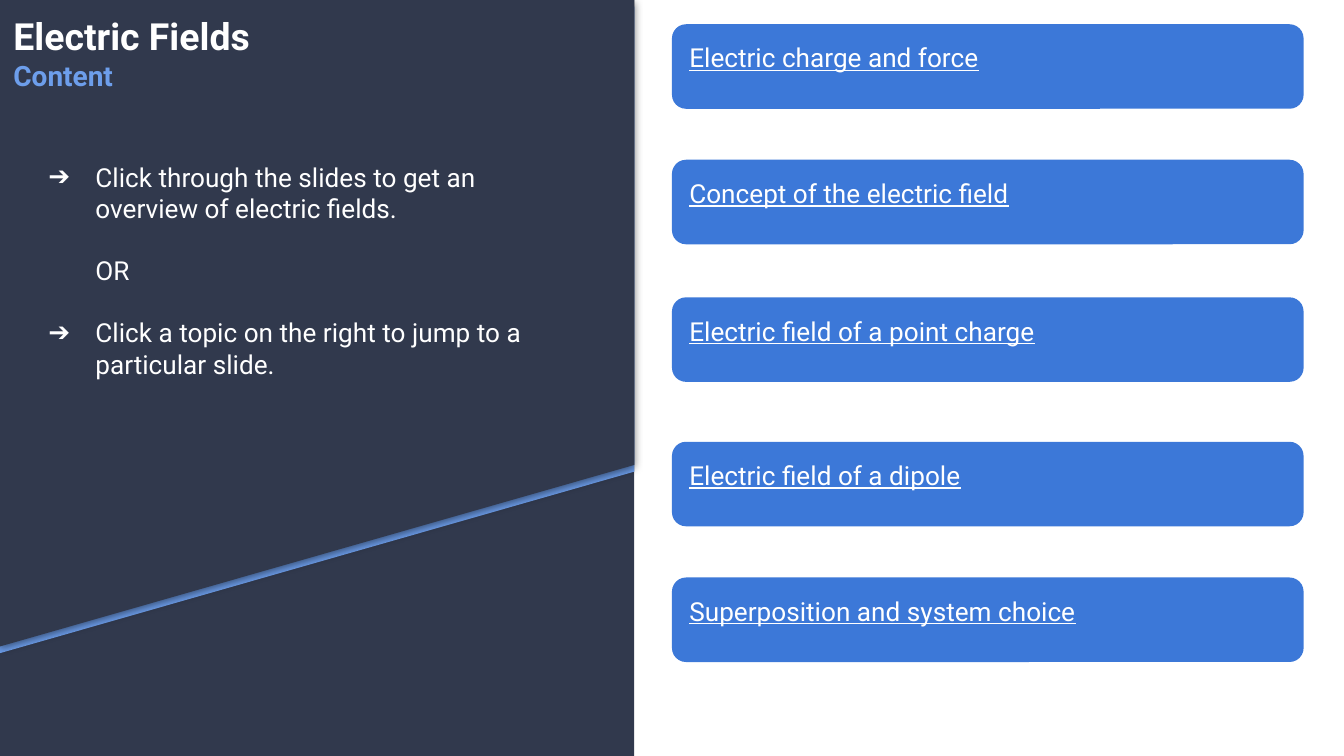
import pptx
import pptx.util
import pptx.dml.color
import pptx.enum.shapes
import pptx.enum.text
import lxml.etree
from dataclasses import dataclass

Pt = pptx.util.Pt
TEXT = pptx.enum.text
KIND = pptx.enum.shapes.MSO_SHAPE
NS = "http://schemas.openxmlformats.org/drawingml/2006/main"

HEAD = "Electric Fields"
SUB = "Content"
# text, bulleted, space before
STEPS = [
    ("Click through the slides to get an overview of electric fields.", True, 0),
    ("OR", False, 16.4),
    ("Click a topic on the right to jump to a", True, 16.4),
    ("particular slide.", False, 0),
]
# text, top
TOPICS = [
    ("Electric charge and force", 13),
    ("Concept of the electric field", 85.6),
    ("Electric field of a point charge", 159.3),
    ("Electric field of a dipole", 236.7),
    ("Superposition and system choice", 309.4),
]


@dataclass(frozen=True)
class Theme:
    font: str = "Roboto"
    white: str = "FFFFFF"
    navy: str = "31394D"
    sky: str = "6D9EEB"
    blue: str = "3C78D8"
    head: int = 20
    sub: int = 15
    body: int = 14


LOOK = Theme()
WIDE, HIGH = 720, 405
SIDE = 339.8            # width of the dark panel
LOW, EDGE = 346.3, 249.1  # slanted edge, left and right
BAND = 3.6              # offset of the light band
CARD_X, CARD_W, CARD_H = 360, 338.4, 45.3


def paint(shape, color):
    shape.shadow.inherit = False
    shape.fill.solid()
    shape.fill.fore_color.rgb = pptx.dml.color.RGBColor.from_string(color)
    shape.line.fill.background()


def slant(slide, shift, color):
    """Draw the panel's slanted part, moved down by shift."""
    path = slide.shapes.build_freeform(Pt(0), Pt(shift))
    ends = [(SIDE, shift), (SIDE, EDGE + shift), (0, LOW + shift)]
    path.add_line_segments([(Pt(x), Pt(y)) for x, y in ends])
    shape = path.convert_to_shape()
    paint(shape, color)
    return shape


def node(parent, tag, **attrs):
    return lxml.etree.SubElement(parent, f"{{{NS}}}{tag}", attrs)


def shade(shape):
    """Add a soft shadow below the shape."""
    effect = shape.element.spPr.find(f"{{{NS}}}effectLst")
    shadow = node(effect, "outerShdw", blurRad=str(Pt(4.5)), dist=str(Pt(1.5)),
                  dir="5400000", algn="bl", rotWithShape="0")
    node(node(shadow, "srgbClr", val="000000"), "alpha", val="50000")


def place(shape, x, y, w, h):
    shape.left, shape.top, shape.width, shape.height = Pt(x), Pt(y), Pt(w), Pt(h)


def frame(shape):
    text = shape.text_frame
    text.word_wrap = True
    text.auto_size = TEXT.MSO_AUTO_SIZE.NONE
    text.vertical_anchor = TEXT.MSO_ANCHOR.TOP
    text.margin_left = text.margin_right = Pt(7.2)
    text.margin_top = text.margin_bottom = Pt(7.2)
    return text


def write(para, words, size, color=LOOK.white, bold=False, under=False, gap=0):
    para.alignment = TEXT.PP_ALIGN.LEFT
    para.line_spacing = 1.0
    para.space_before = Pt(gap)
    run = para.add_run()
    run.text = words
    font = run.font
    font.name, font.size, font.bold, font.underline = LOOK.font, Pt(size), bold, under
    font.color.rgb = pptx.dml.color.RGBColor.from_string(color)


def mark(para, arrow):
    """Indent a list line, with an arrow bullet or none."""
    props = para._p.get_or_add_pPr()
    props.set("marL", str(Pt(36)))
    props.set("indent", str(Pt(-25.2 if arrow else 0)))
    if arrow:
        node(node(props, "buClr"), "srgbClr", val=LOOK.white)
        node(props, "buFont", typeface=LOOK.font)
        node(props, "buChar", char="➔")
    else:
        node(props, "buNone")


def main():
    deck = pptx.Presentation()
    deck.slide_width, deck.slide_height = Pt(WIDE), Pt(HIGH)
    slide = deck.slides.add_slide(deck.slide_layouts[1])
    title, body = slide.placeholders

    panel = slide.shapes.add_shape(KIND.RECTANGLE, 0, 0, Pt(SIDE), Pt(HIGH))
    paint(panel, LOOK.navy)
    slant(slide, BAND, LOOK.sky)
    shade(slant(slide, 0, LOOK.navy))

    place(title, 0, 0, 338.4, 51.8)
    text = frame(title)
    write(text.paragraphs[0], HEAD, LOOK.head, bold=True)
    write(text.add_paragraph(), SUB, LOOK.sub, LOOK.sky, bold=True)

    place(body, 7.9, 79.2, 308.9, 154.8)
    text = frame(body)
    for i, (words, arrow, gap) in enumerate(STEPS):
        para = text.add_paragraph() if i else text.paragraphs[0]
        write(para, words, LOOK.body, gap=gap)
        mark(para, arrow)

    # Bring the text in front of the panel
    for holder in (title, body):
        slide.shapes.element.append(holder.element)

    for words, top in TOPICS:
        card = slide.shapes.add_shape(KIND.ROUNDED_RECTANGLE, Pt(CARD_X), Pt(top),
                                      Pt(CARD_W), Pt(CARD_H))
        paint(card, LOOK.blue)
        write(frame(card).paragraphs[0], words, LOOK.body, under=True)

    deck.save("out.pptx")


if __name__ == "__main__":
    main()
